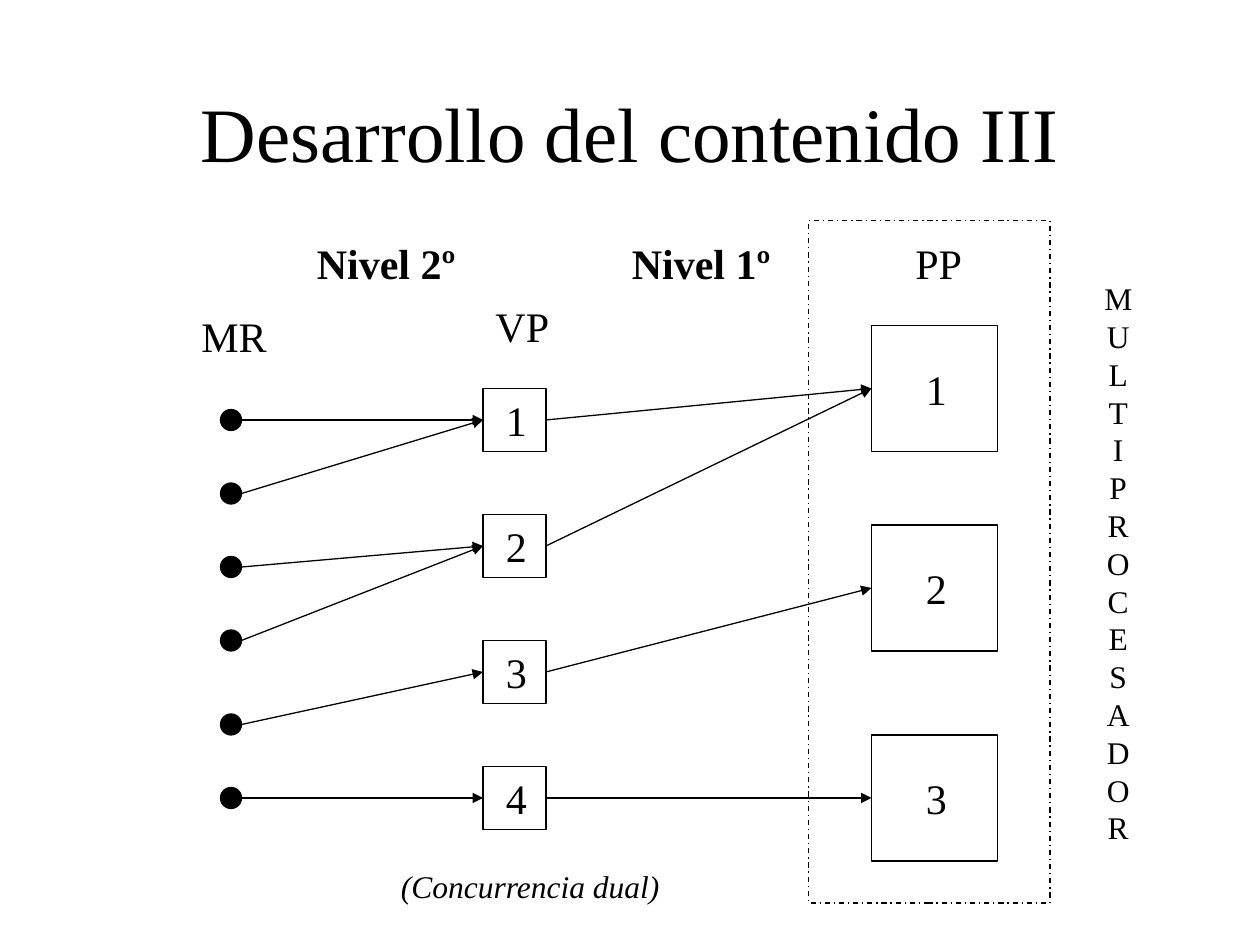
from dataclasses import dataclass

from lxml.etree import SubElement
from pptx import Presentation
from pptx.dml.color import RGBColor
from pptx.enum.dml import MSO_LINE_DASH_STYLE as Dash
from pptx.enum.shapes import MSO_CONNECTOR as Connector, MSO_SHAPE as Shape
from pptx.enum.text import MSO_ANCHOR as Anchor, MSO_AUTO_SIZE as AutoSize, PP_ALIGN as Align
from pptx.oxml.ns import qn
from pptx.util import Inches, Pt


@dataclass(frozen=True)
class Theme:
    """Colours, type and line sizes of the slide."""
    ink: RGBColor = RGBColor(0, 0, 0)
    font: str = "Times New Roman"
    title: int = 44
    label: int = 24
    small: int = 18
    line: float = 0.75


THEME = Theme()
COLUMNS, ROWS = 120, 90
TOP, LEFT, BOTTOM, RIGHT = range(4)
DOT_COLUMN, DOT_SIZE = 21, 2
DOT_ROWS = (39, 46, 53, 60, 68, 75)
VIRTUAL_COLUMN, VIRTUAL_SIZE = 46, 6
VIRTUAL_ROWS = range(37, 74, 12)
PHYSICAL_COLUMN, PHYSICAL_SIZE = 83, 12
PHYSICAL_ROWS = (31, 50, 70)
DOT_TARGETS = (0, 0, 1, 1, 2, 3)
VIRTUAL_TARGETS = (0, 0, 1, 2)


def grid(*cells):
    """Turn grid cells into lengths, twelve cells to the inch."""
    return [Inches(cell / 12) for cell in cells]


def style_text(frame, size, align=Align.LEFT, bold=False, italic=False):
    """Format every paragraph and run of a text frame."""
    for para in frame.paragraphs:
        para.alignment = align
        for span in para.runs:
            font = span.font
            font.name, font.size = THEME.font, Pt(size)
            font.bold, font.italic = bold, italic
            font.color.rgb = THEME.ink


def style_line(line, dash=None):
    """Give a line the ink colour, width and dash."""
    line.color.rgb = THEME.ink
    line.width = Pt(THEME.line)
    if dash:
        line.dash_style = dash


def add_title(page, text):
    """Fill and place the title placeholder."""
    title = page.shapes.title
    title.left, title.top, title.width, title.height = grid(9, 5, 102, 15)
    title.text_frame.text = text
    title.text_frame.vertical_anchor = Anchor.MIDDLE
    style_text(title.text_frame, THEME.title, Align.CENTER)


def add_label(page, text, column, row, width, height=6, size=THEME.label, **style):
    """Add an unwrapped label at a grid cell."""
    box = page.shapes.add_textbox(*grid(column, row, width, height))
    frame = box.text_frame
    frame.text = text
    frame.word_wrap = False
    frame.auto_size = AutoSize.SHAPE_TO_FIT_TEXT
    style_text(frame, size, **style)


def add_outline(page, kind, column, row, width, height, filled=False, dash=None):
    """Add a preset shape, solid or hollow."""
    shape = page.shapes.add_shape(kind, *grid(column, row, width, height))
    shape.shadow.inherit = False
    if filled:
        shape.fill.solid()
        shape.fill.fore_color.rgb = THEME.ink
    else:
        shape.fill.background()
    style_line(shape.line, dash)
    return shape


def add_processors(page, column, rows, size, label_column, label_row):
    """Add a column of numbered squares."""
    boxes = []
    for number, row in enumerate(rows, 1):
        boxes.append(add_outline(page, Shape.RECTANGLE, column, row, size, size))
        add_label(page, str(number), column + label_column, row + label_row, 4.4)
    return boxes


def add_arrow(page, source, target, glued=True):
    """Draw an arrow from the right of source to the left of target."""
    start = source.left + source.width, source.top + source.height // 2
    end = target.left, target.top + target.height // 2
    arrow = page.shapes.add_connector(Connector.STRAIGHT, *start, *end)
    if glued:
        arrow.begin_connect(source, RIGHT)
    arrow.end_connect(target, LEFT)
    style_line(arrow.line)
    SubElement(arrow.line._get_or_add_ln(), qn("a:tailEnd"), type="triangle")
    SubElement(arrow._element.spPr, qn("a:effectLst"))


def main():
    """Build the slide and save it."""
    deck = Presentation()
    deck.slide_width, deck.slide_height = grid(COLUMNS, ROWS)
    page = deck.slides.add_slide(deck.slide_layouts[5])
    add_title(page, "Desarrollo del contenido III")

    dots = [add_outline(page, Shape.OVAL, DOT_COLUMN, row, DOT_SIZE, DOT_SIZE, filled=True)
            for row in DOT_ROWS]
    virtual = add_processors(page, VIRTUAL_COLUMN, VIRTUAL_ROWS, VIRTUAL_SIZE, 1, 0)
    physical = add_processors(page, PHYSICAL_COLUMN, PHYSICAL_ROWS, PHYSICAL_SIZE, 4, 3)
    for dot, target in zip(dots, DOT_TARGETS):
        add_arrow(page, dot, virtual[target], glued=False)
    for box, target in zip(virtual, VIRTUAL_TARGETS):
        add_arrow(page, box, physical[target])
    add_outline(page, Shape.RECTANGLE, 77, 21, 23, 65, dash=Dash.DASH_DOT)

    add_label(page, "MR", 18, 29, 8.8)
    add_label(page, "VP", 46, 28, 7.8)
    add_label(page, "PP", 86, 22, 7.2)
    add_label(page, "Nivel 2º", 29, 22, 15.8, bold=True)
    add_label(page, "Nivel 1º", 59, 22, 15.8, bold=True)
    add_label(page, "(Concurrencia dual)", 37, 82, 27.3, 4.8, THEME.small, italic=True)
    add_label(page, "\n".join("MULTIPROCESADOR"), 104, 26, 5, 55.2, THEME.small,
              align=Align.CENTER)
    deck.save("out.pptx")


if __name__ == "__main__":
    main()
